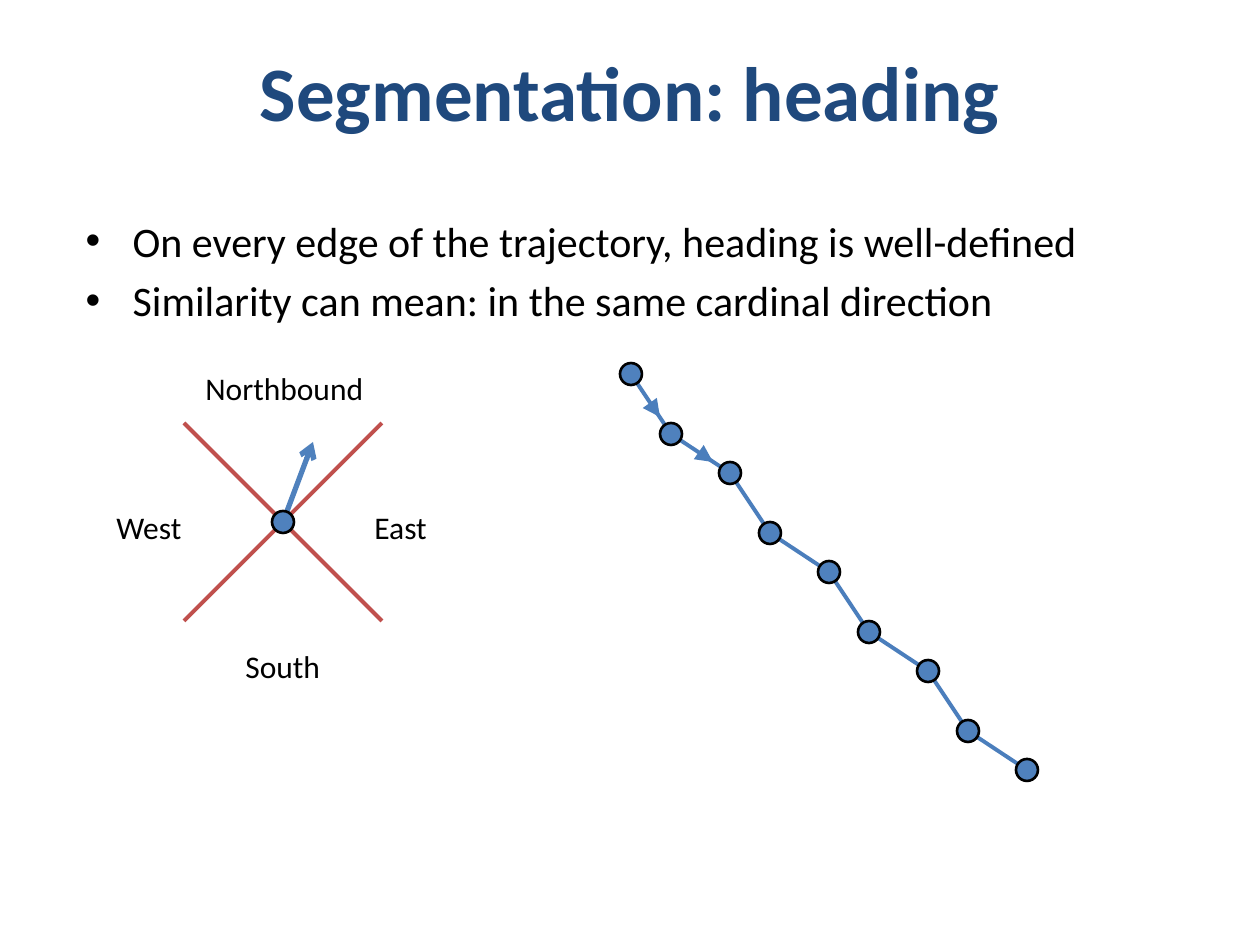
from lxml.etree import SubElement
from pptx import Presentation
from pptx.dml.color import RGBColor
from pptx.enum.shapes import MSO_CONNECTOR, MSO_SHAPE
from pptx.enum.text import MSO_ANCHOR, MSO_AUTO_SIZE, PP_ALIGN
from pptx.oxml.ns import qn
from pptx.util import Inches, Pt

SCALE = Inches(1) / 126
DOT = 22
BLUE = "4F81BD"
TRACK = "4B7EBC"
RED = "C0504D"
BLACK = "000000"


def px(*sizes):
    """Turn pixel lengths into EMU."""
    return [round(size * SCALE) for size in sizes]


def paint(item, color):
    """Colour a font, or a fill that has been made solid."""
    target = item.color if hasattr(item, "color") else item.fore_color
    target.rgb = RGBColor.from_string(color)


def style(par, size, color, bold=False):
    """Set the font of one paragraph."""
    font = par.font
    font.name = "Calibri"
    font.size = Pt(size)
    font.bold = bold
    paint(font, color)


def place(shape, box):
    """Move a placeholder to a pixel box."""
    shape.left, shape.top, shape.width, shape.height = px(*box)


def add_title(slide, text, box):
    """Fill the title placeholder."""
    title = slide.shapes.title
    place(title, box)
    frame = title.text_frame
    frame.text = text
    frame.vertical_anchor = MSO_ANCHOR.MIDDLE
    par = frame.paragraphs[0]
    par.alignment = PP_ALIGN.CENTER
    style(par, 44, "1F497D", True)


def add_list(slide, items, box):
    """Fill the body placeholder with bullets."""
    body = slide.placeholders[1]
    place(body, box)
    frame = body.text_frame
    frame.text = "\n".join(items)
    for index, par in enumerate(frame.paragraphs):
        props = par._p.get_or_add_pPr()
        indent = px(47)[0]
        props.set("marL", str(indent))
        props.set("indent", str(-indent))
        par.space_before = Pt(5 if index else 0)
        SubElement(props, qn("a:buChar"), char="•")
        style(par, 24, BLACK)


def add_label(slide, text, box):
    """Add a one-line label."""
    frame = slide.shapes.add_textbox(*px(*box)).text_frame
    frame.word_wrap = False
    frame.auto_size = MSO_AUTO_SIZE.SHAPE_TO_FIT_TEXT
    frame.text = text
    style(frame.paragraphs[0], 18, BLACK)


def add_line(slide, start, end, color, width, head=None, size="med"):
    """Draw a straight line, with an arrowhead if asked."""
    link = slide.shapes.add_connector(MSO_CONNECTOR.STRAIGHT, *px(*start, *end))
    link.line.width = Pt(width)
    paint(link.line, color)
    SubElement(link._element.spPr, qn("a:effectLst"))
    if head:
        SubElement(link.line._get_or_add_ln(), qn("a:tailEnd"),
                   type=head, w=size, len=size)


def add_dot(slide, x, y):
    """Draw a vertex centred on a point."""
    box = px(x - DOT / 2, y - DOT / 2, DOT, DOT)
    dot = slide.shapes.add_shape(MSO_SHAPE.OVAL, *box)
    dot.shadow.inherit = False
    dot.fill.solid()
    paint(dot.fill, BLUE)
    dot.line.width = Pt(1.5)
    paint(dot.line, BLACK)


def add_track(slide, points):
    """Draw the open path through all points."""
    pen = slide.shapes.build_freeform(*points[0], scale=SCALE)
    pen.add_line_segments(points[1:], close=False)
    track = pen.convert_to_shape()
    track.shadow.inherit = False
    track.fill.background()
    track.line.width = Pt(2.25)
    paint(track.line, TRACK)


def add_compass(slide, x, y):
    """Draw the four sectors and their labels."""
    arm = 99
    for side in (-arm, arm):
        add_line(slide, (x - arm, y + side), (x + arm, y - side), RED, 2.25)
    for text, box in (
        ("Northbound", (193, 363, 185, 50)),
        ("East", (362, 502, 78, 50)),
        ("West", (104, 502, 91, 50)),
        ("South", (233, 641, 101, 50)),
    ):
        add_label(slide, text, box)
    add_line(slide, (x, y), (x + 30, y - 80), BLUE, 3, "arrow")
    add_dot(slide, x, y)


def main():
    """Build the slide and save it."""
    deck = Presentation()
    deck.slide_width, deck.slide_height = Inches(10), Inches(7.5)
    slide = deck.slides.add_slide(deck.slide_layouts[1])
    points = [(631 + 99 * (i // 2) + 40 * (i % 2),
               374 + 99 * (i // 2) + 60 * (i % 2)) for i in range(9)]
    add_track(slide, points)
    add_title(slide, "Segmentation: heading", (63, 38, 1134, 105))
    add_list(slide, [
        "On every edge of the trajectory, heading is well-defined",
        "Similarity can mean: in the same cardinal direction",
    ], (73, 209, 1134, 169))
    add_compass(slide, 283, 522)
    for point in points:
        add_dot(slide, *point)
    for start, end in (((639, 388), (660, 417)), ((687, 444), (713, 462))):
        add_line(slide, start, end, TRACK, 0.75, "triangle", "lg")
    deck.save("out.pptx")


if __name__ == "__main__":
    main()
